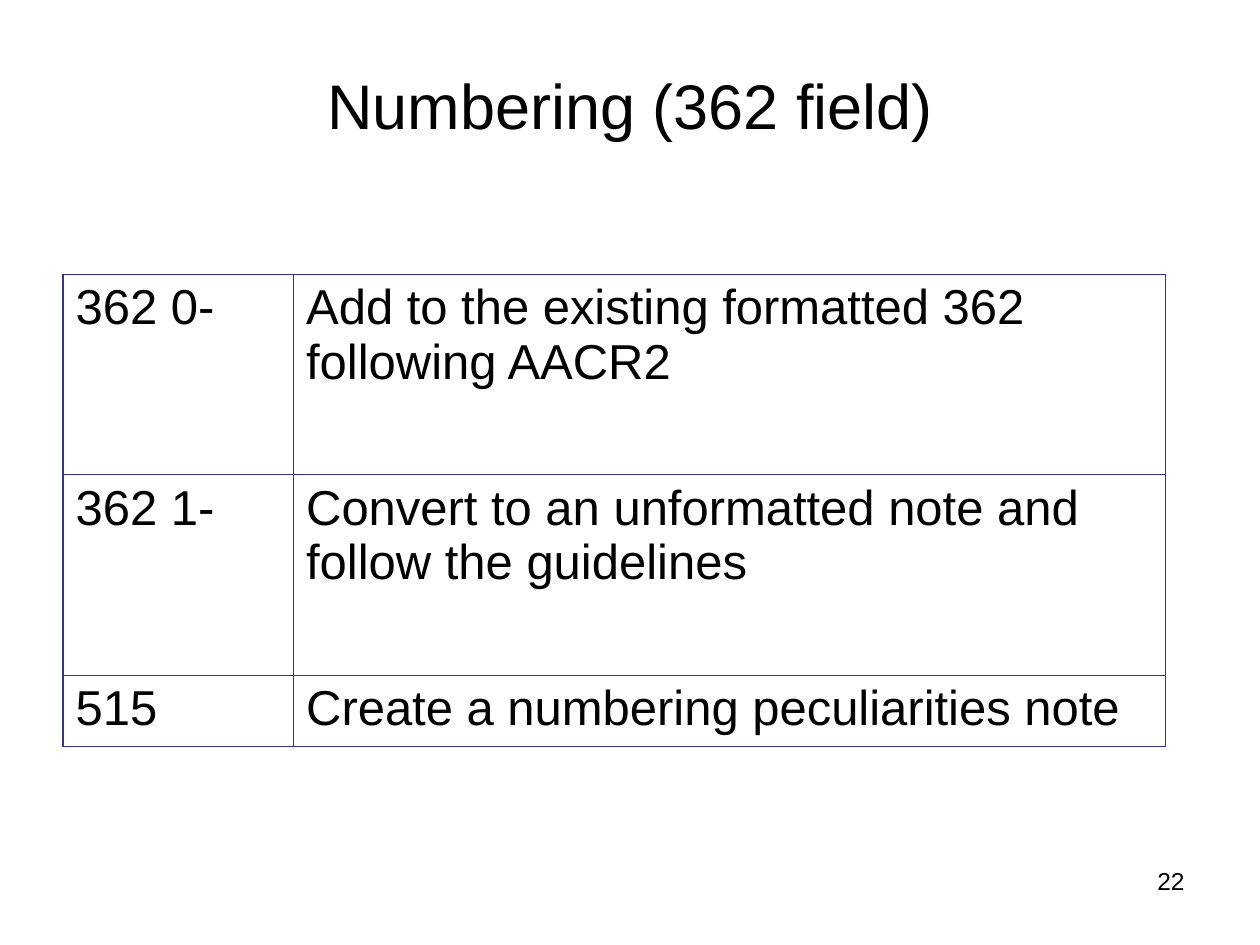
import dataclasses

import lxml.etree
import pptx
import pptx.dml.color
import pptx.enum.text
import pptx.oxml.ns
import pptx.util

ALIGN = pptx.enum.text.PP_ALIGN
ANCHOR = pptx.enum.text.MSO_ANCHOR


@dataclasses.dataclass(frozen=True)
class Theme:
    font: str = "Arial"
    ink: str = "000000"
    rule: str = "333399"
    title: int = 36
    body: int = 28
    small: int = 14
    line: float = 0.75


@dataclasses.dataclass(frozen=True)
class Box:
    left: int
    top: int
    width: int
    height: int

    def inset(self, left, top, width, height):
        return Box(
            round(self.left + left * self.width),
            round(self.top + top * self.height),
            round(width * self.width),
            round(height * self.height),
        )

    def sides(self):
        return self.left, self.top, self.width, self.height


THEME = Theme()
ROWS = [
    ("362 0-", "Add to the existing formatted 362 following AACR2"),
    ("362 1-", "Convert to an unformatted note and follow the guidelines"),
    ("515", "Create a numbering peculiarities note"),
]
COL_SIZES = (1.83, 6.92)
ROW_SIZES = (1.6, 1.6, 0.57)


def write(frame, text, size=THEME.body, align=ALIGN.LEFT):
    frame.word_wrap = True
    para = frame.paragraphs[0]
    para.alignment = align
    run = para.add_run()
    run.text = text
    run.font.name = THEME.font
    run.font.size = pptx.util.Pt(size)
    run.font.color.rgb = pptx.dml.color.RGBColor.from_string(THEME.ink)


def add_text(slide, box, text, anchor=ANCHOR.TOP, **style):
    frame = slide.shapes.add_textbox(*box.sides()).text_frame
    frame.vertical_anchor = anchor
    write(frame, text, **style)


def add_title(slide, box):
    add_text(slide, box, "Numbering (362 field)", anchor=ANCHOR.MIDDLE,
             size=THEME.title, align=ALIGN.CENTER)


def add_number(slide, box):
    add_text(slide, box, "22", size=THEME.small, align=ALIGN.RIGHT)


def set_border(cell):
    qn = pptx.oxml.ns.qn
    props = cell._tc.get_or_add_tcPr()
    for spot, side in enumerate(("a:lnL", "a:lnR", "a:lnT", "a:lnB")):
        line = lxml.etree.Element(qn(side), w=str(pptx.util.Pt(THEME.line)))
        fill = lxml.etree.SubElement(line, qn("a:solidFill"))
        lxml.etree.SubElement(fill, qn("a:srgbClr"), val=THEME.rule)
        props.insert(spot, line)


def share(total, sizes):
    return [round(total * size / sum(sizes)) for size in sizes]


def add_grid(slide, box):
    table = slide.shapes.add_table(
        len(ROW_SIZES), len(COL_SIZES), *box.sides()).table
    table.first_row = False
    table.horz_banding = False
    for col, width in zip(table.columns, share(box.width, COL_SIZES)):
        col.width = width
    for row, height, texts in zip(
            table.rows, share(box.height, ROW_SIZES), ROWS):
        row.height = height
        for cell, text in zip(row.cells, texts):
            cell.fill.background()
            set_border(cell)
            write(cell.text_frame, text)


def main():
    deck = pptx.Presentation()
    deck.slide_width = pptx.util.Inches(10)
    deck.slide_height = pptx.util.Inches(7.5)
    slide = deck.slides.add_slide(deck.slide_layouts[6])
    page = Box(0, 0, deck.slide_width, deck.slide_height)
    add_title(slide, page.inset(0.05, 0.04, 0.9, 0.14))
    add_grid(slide, page.inset(0.05, 0.29, 0.875, 0.5))
    add_number(slide, page.inset(0.72, 0.91, 0.23, 0.07))
    deck.save("out.pptx")


if __name__ == "__main__":
    main()
